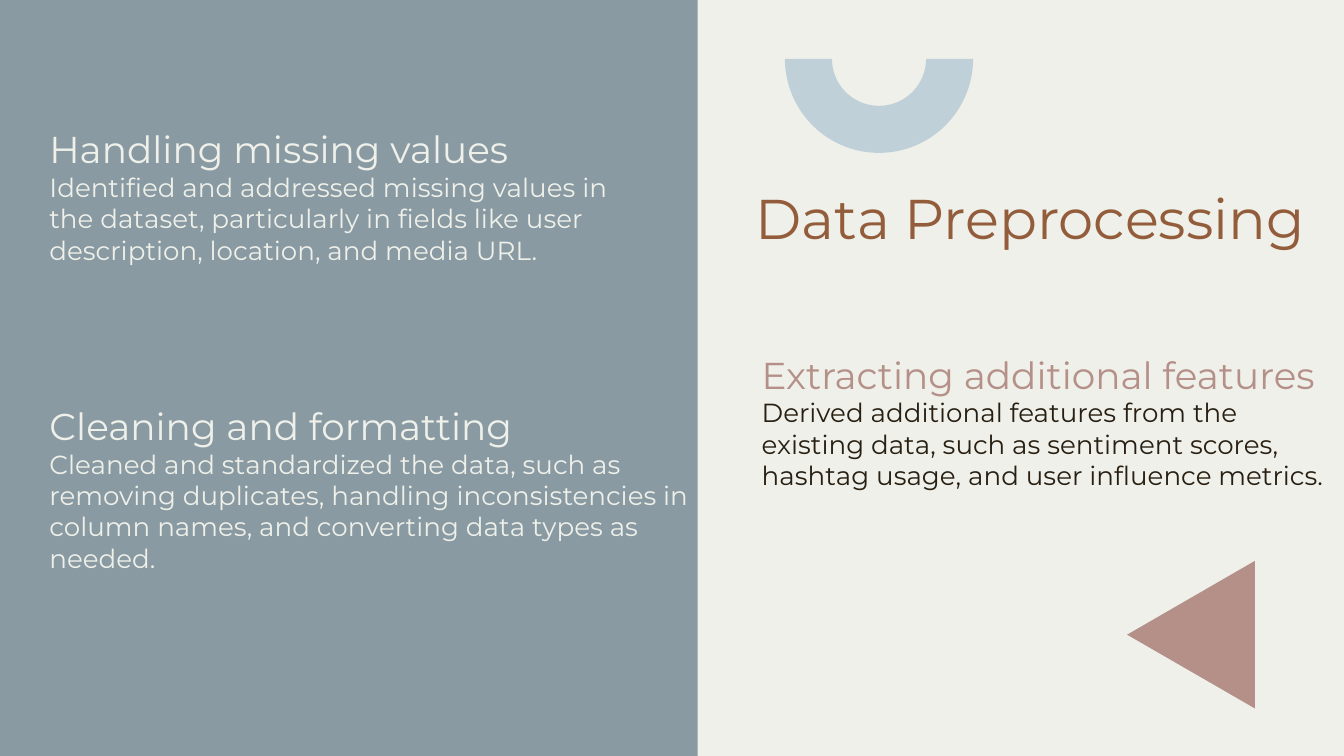
from pptx import Presentation
from pptx.dml.color import RGBColor
from pptx.enum.shapes import MSO_SHAPE as Preset
from pptx.enum.text import MSO_ANCHOR as Anchor, PP_ALIGN as Align
from pptx.util import Pt

CREAM, ROSE = "EEF0E9", "B59089"


def paint(fill, color):
    fill.solid()
    fill.fore_color.rgb = RGBColor.from_string(color)


def add_text(box, lines):
    frame = slide.shapes.add_textbox(*map(Pt, box)).text_frame
    frame.word_wrap = True
    frame.margin_left = frame.margin_right = Pt(7.2)
    frame.margin_top = frame.margin_bottom = Pt(7.2)
    for index, (text, size, color) in enumerate(lines):
        paragraph = frame.add_paragraph() if index else frame.paragraphs[0]
        paragraph.text = text
        paragraph.font.name = "Montserrat"
        paragraph.font.size = Pt(size)
        paragraph.font.color.rgb = RGBColor.from_string(color)
    return frame


presentation = Presentation()
presentation.slide_width, presentation.slide_height = Pt(720), Pt(405)
slide = presentation.slides.add_slide(presentation.slide_layouts[6])
paint(slide.background.fill, "899AA3")

decorations = [
    (Preset.RECTANGLE, (373.7, 0, 346.3, 405), 0, CREAM, []),
    (Preset.BLOCK_ARC, (420.5, -18.9, 100.8, 100.8), 180, "C0D0D8", [108, 0, 0.25]),
    (Preset.ISOSCELES_TRIANGLE, (598.5, 305.8, 79, 68.4), 270, ROSE, [0.5]),
]
for preset, box, rotation, color, adjustments in decorations:
    shape = slide.shapes.add_shape(preset, *map(Pt, box))
    shape.shadow.inherit = False
    shape.rotation = rotation
    paint(shape.fill, color)
    shape.line.fill.background()
    for index, value in enumerate(adjustments):
        shape.adjustments[index] = value

title = add_text((360.7, 78.5, 382.3, 112.3), [("Data Preprocessing", 30, "935C3B")])
title.vertical_anchor = Anchor.MIDDLE
title.margin_bottom = Pt(43.8)
title.paragraphs[0].alignment = Align.CENTER

sections = [
    ((19.4, 60.5, 328.3, 148.3), "Handling missing values", CREAM,
     "Identified and addressed missing values in the dataset, particularly in "
     "fields like user description, location, and media URL.", CREAM),
    ((19.4, 208.8, 357.8, 92.2), "Cleaning and formatting", CREAM,
     "Cleaned and standardized the data, such as removing duplicates, handling "
     "inconsistencies in column names, and converting data types as needed.", CREAM),
    ((401, 181.4, 324, 90), "Extracting additional features", ROSE,
     "Derived additional features from the existing data, such as sentiment "
     "scores, hashtag usage, and user influence metrics.", "281F12"),
]
for box, heading, heading_color, body, body_color in sections:
    add_text(box, [(heading, 20, heading_color), (body, 14, body_color)])

presentation.save("out.pptx")
